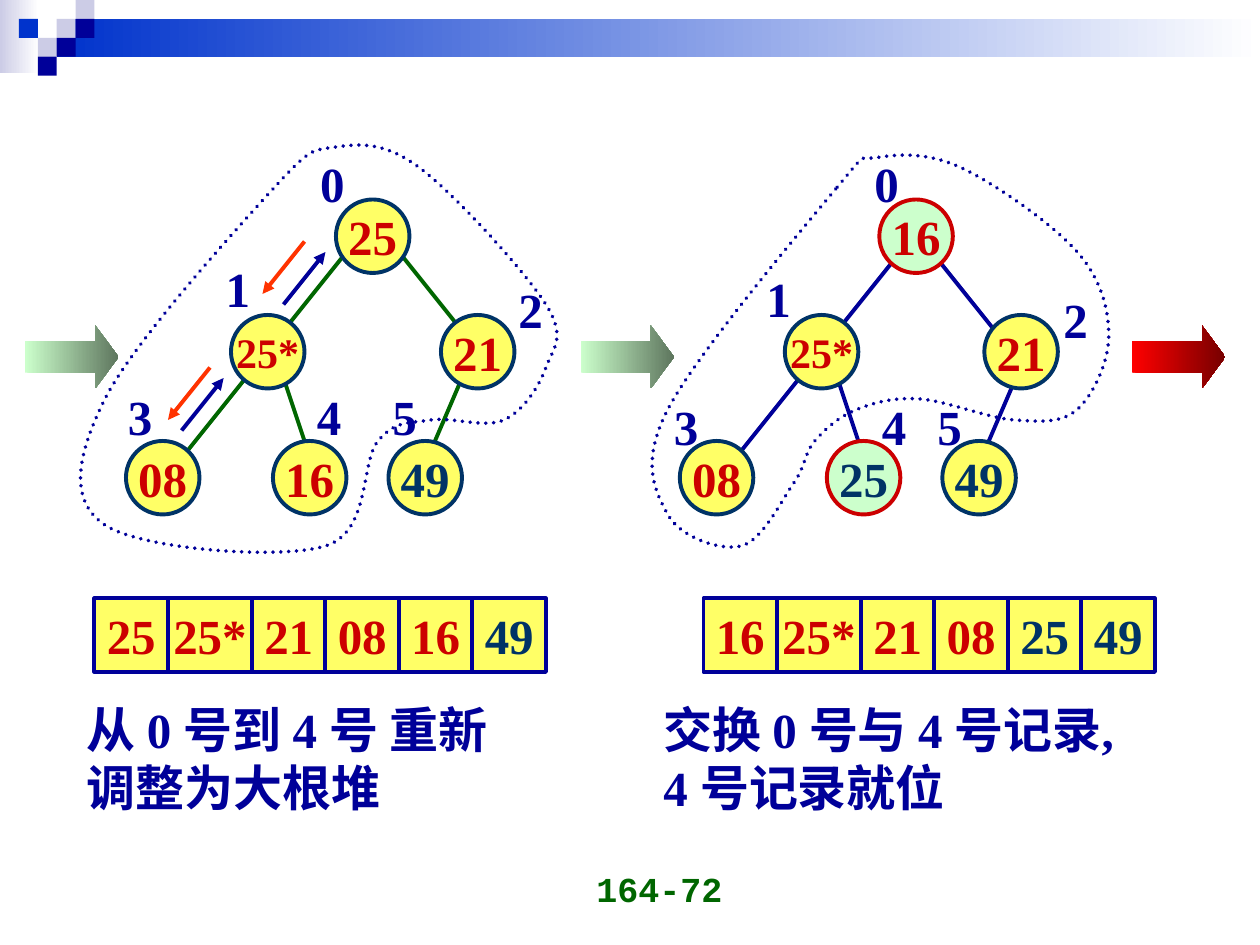
"""Build a slide showing one exchange step of heap sort with trees and arrays."""
from itertools import accumulate
from lxml.etree import SubElement
from pptx import Presentation
from pptx.dml.color import RGBColor
from pptx.enum.dml import MSO_LINE
from pptx.enum.shapes import MSO_CONNECTOR, MSO_SHAPE
from pptx.enum.text import MSO_ANCHOR, MSO_AUTO_SIZE, PP_ALIGN
from pptx.oxml.ns import qn
from pptx.util import Inches, Pt

THEME = {
    "navy": "000099", "blue": "0033CC", "pale": "CCCCE6", "white": "FFFFFF",
    "yellow": "FFFF66", "mint": "CCFFCC", "moss": "5E765E", "green": "006600",
    "red": "CC0000", "slate": "003366", "orange": "FF3300",
    "bright": "FF0000", "maroon": "760000",
    "serif": "Times New Roman", "sans": "Arial", "mono": "Courier New",
    "body": 28, "small": 24, "footer": 20, "line": 2.25,
}
COLUMNS, ROWS = 120, 90
SLIDE_WIDTH, SLIDE_HEIGHT = Inches(10), Inches(7.5)
SQUARE = 1.8
MOSAIC = ["....p", ".b.pn", "..pn", "..n"]
MOSAIC_COLORS = {"p": "pale", "b": "blue", "n": "navy"}
BANDS = [((0, 0, 3.7, 7), "pale"), ((5.4, SQUARE, 114.6, 2 * SQUARE), "blue")]
BLOCK_ARROWS = [(55.3, "mint", "moss"), (2.4, "mint", "moss"), (107.8, "bright", "maroon")]
FOOTER = "164-72"

NODE_SIZE = 7
LEVEL_TOPS = [19, 30, 42]
NODE_LEFTS = [32, 22, 42, 12, 26, 37]
EDGES = [(44, 36, 41, 43), (27, 36, 29, 42), (33, 24, 17, 44), (38, 24, 46, 34)]
LABEL_TOPS = [14, 24, 26, 36.2, 36.2, 36.2]
ARRAY_LEFT, ARRAY_TOP, ARRAY_WIDTHS = 9, 57, [7, 8, 7, 7, 7, 7]
MOVES = [(17.3, 41, 1, "navy"), (27, 29, 1, "navy"),
         (29, 23, -1, "orange"), (20, 35, -1, "orange")]

TREES = [
    {
        "values": ["25", "25*", "21", "08", "16", "49"],
        "heap_size": 5, "swapped": (), "edge_color": "green", "moves": MOVES,
        "shift": 0, "pull": 0, "label_drop": 0, "array_shift": 0,
        "label_lefts": [29.3, 20.3, 48.2, 11, 29, 36.2],
        "caption_left": 7.1, "caption_width": 48.8,
        "caption": [[("从 0 号到 4 号 重新", "serif")], [("调整为", "serif"), ("大根堆", "sans")]],
        "outline": [(26, 18), (10, 38), (10, 50), (31, 52), (36, 42), (41, 40),
                    (48, 40), (52, 35), (52, 29), (40, 16), (32, 14)],
    },
    {
        "values": ["16", "25*", "21", "08", "25", "49"],
        "heap_size": 4, "swapped": (0, 4), "edge_color": "navy", "moves": [],
        "shift": 52.75, "pull": 1, "label_drop": 1, "array_shift": 58,
        "label_lefts": [82.1, 71.8, 100.1, 63, 82.8, 88.1],
        "caption_left": 62, "caption_width": 53.4,
        "caption": [[("交换 0 号与 4 号记录,", "serif")], [("4 号记录就位", "serif")]],
        "outline": [(79.6, 18), (63.6, 39), (63.6, 49), (70.6, 52), (75.6, 46),
                    (77.6, 42), (81.6, 39), (87.6, 38), (96.6, 40), (102.6, 39),
                    (105.6, 32), (102.6, 24), (91.6, 16), (83.6, 15)],
    },
]


def color(name):
    """Return a theme colour."""
    return RGBColor.from_string(THEME[name])


def place(*numbers):
    """Turn alternating columns and rows into slide lengths."""
    units = (SLIDE_WIDTH / COLUMNS, SLIDE_HEIGHT / ROWS)
    return [round(number * units[index % 2]) for index, number in enumerate(numbers)]


def write(shape, lines, size="body", ink="navy", align=PP_ALIGN.LEFT,
          anchor=MSO_ANCHOR.TOP, wrap=False, grow=False):
    """Write lines of (text, font) runs into a shape."""
    frame = shape.text_frame
    frame.word_wrap = wrap
    frame.auto_size = MSO_AUTO_SIZE.SHAPE_TO_FIT_TEXT if grow else MSO_AUTO_SIZE.NONE
    frame.vertical_anchor = anchor
    for index, runs in enumerate(lines):
        paragraph = frame.add_paragraph() if index else frame.paragraphs[0]
        paragraph.alignment = align
        for text, font in runs:
            run = paragraph.add_run()
            run.text = text
            run.font.name = THEME[font]
            run.font.size = Pt(THEME[size])
            run.font.bold = True
            run.font.color.rgb = color(ink)


def add_block(slide, kind, area, fill, fade=None, edge=None):
    """Add a preset shape with a plain or fading fill."""
    shape = slide.shapes.add_shape(kind, *place(*area))
    shape.shadow.inherit = False
    if fade:
        shape.fill.gradient()
        shape.fill.gradient_angle = 0
        for stop, name in zip(shape.fill.gradient_stops, (fill, fade)):
            stop.color.rgb = color(name)
    else:
        shape.fill.solid()
        shape.fill.fore_color.rgb = color(fill)
    if edge:
        shape.line.color.rgb = color(edge)
        shape.line.width = Pt(THEME["line"])
    else:
        shape.line.fill.background()
    return shape


def add_line(slide, ends, ink, arrow=False):
    """Add a straight line, with an arrowhead at its end if wanted."""
    line = slide.shapes.add_connector(MSO_CONNECTOR.STRAIGHT, *place(*ends))
    line.line.color.rgb = color(ink)
    line.line.width = Pt(THEME["line"])
    if arrow:
        SubElement(line.line._get_or_add_ln(), qn("a:tailEnd"), type="triangle")
    SubElement(line._element.spPr, qn("a:effectLst"))


def smooth_controls(anchors):
    """Return the Bezier points of a closed smooth curve through the anchors."""
    count = len(anchors)
    points = []
    for index in range(count):
        before, start, end, after = (anchors[(index + step) % count] for step in (-1, 0, 1, 2))
        points.append([s + (e - b) / 6 for b, s, e in zip(before, start, end)])
        points.append([e - (a - s) / 6 for s, e, a in zip(start, end, after)])
        points.append(end)
    return points


def add_outline(slide, anchors):
    """Add a dotted closed curve through the anchors."""
    builder = slide.shapes.build_freeform(*place(*anchors[0]))
    builder.add_line_segments([place(*point) for point in smooth_controls(anchors)], close=True)
    shape = builder.convert_to_shape()
    shape.shadow.inherit = False
    shape.fill.background()
    shape.line.color.rgb = color("navy")
    shape.line.width = Pt(THEME["line"])
    shape.line.dash_style = MSO_LINE.ROUND_DOT
    shape.line._get_or_add_ln().set("cap", "rnd")
    segments = list(shape._element.iter(qn("a:lnTo")))
    for index in range(0, len(segments), 3):
        curve = segments[index].makeelement(qn("a:cubicBezTo"))
        segments[index].addprevious(curve)
        for segment in segments[index:index + 3]:
            curve.append(segment[0])
            segment.getparent().remove(segment)


def add_tree(slide, tree):
    """Add one heap with its labels, array and caption."""
    shift, pull = tree["shift"], tree["pull"]
    for edge in EDGES:
        offset = shift - 2 * pull if edge == EDGES[-1] else shift
        start_x, start_y, end_x, end_y = edge
        add_line(slide, (start_x + offset, start_y, end_x + offset, end_y), tree["edge_color"])
    array_lefts = accumulate(ARRAY_WIDTHS, initial=ARRAY_LEFT + tree["array_shift"])
    columns = zip(tree["values"], NODE_LEFTS, tree["label_lefts"], LABEL_TOPS,
                  array_lefts, ARRAY_WIDTHS)
    for index, (value, left, label_left, label_top, cell_left, cell_width) in enumerate(columns):
        fill, edge = ("mint", "red") if index in tree["swapped"] else ("yellow", "slate")
        style = {"ink": "red" if index < tree["heap_size"] else "slate",
                 "align": PP_ALIGN.CENTER, "anchor": MSO_ANCHOR.MIDDLE}
        left += shift - (pull if index in (0, 2) else 0)
        top = LEVEL_TOPS[(index + 1).bit_length() - 1]
        node = add_block(slide, MSO_SHAPE.OVAL, (left, top, NODE_SIZE, NODE_SIZE), fill, edge=edge)
        write(node, [[(value, "serif")]], size="small" if len(value) > 2 else "body", **style)
        cell = add_block(slide, MSO_SHAPE.RECTANGLE, (cell_left, ARRAY_TOP, cell_width, NODE_SIZE),
                         "yellow", edge="navy")
        write(cell, [[(value, "serif")]], **style)
        label_top += tree["label_drop"] if index else 0
        label = slide.shapes.add_textbox(*place(label_left, label_top, 4.7, 6.8))
        write(label, [[(str(index), "serif")]], grow=True)
    caption = slide.shapes.add_textbox(
        *place(tree["caption_left"], 66, tree["caption_width"], 12.5))
    write(caption, tree["caption"], grow=True)
    add_outline(slide, tree["outline"])
    for x, y, direction, ink in tree["moves"]:
        add_line(slide, (x, y, x + 4 * direction, y - 5 * direction), ink, arrow=True)


def main():
    """Build and save the presentation."""
    presentation = Presentation()
    presentation.slide_width, presentation.slide_height = SLIDE_WIDTH, SLIDE_HEIGHT
    slide = presentation.slides.add_slide(presentation.slide_layouts[6])
    for area, fill in BANDS:
        add_block(slide, MSO_SHAPE.RECTANGLE, area, fill, fade="white")
    for row, squares in enumerate(MOSAIC):
        for column, mark in enumerate(squares):
            if mark in MOSAIC_COLORS:
                area = (column * SQUARE, row * SQUARE, SQUARE, SQUARE)
                add_block(slide, MSO_SHAPE.RECTANGLE, area, MOSAIC_COLORS[mark])
    footer = slide.shapes.add_textbox(*place(42, 81.2, 28, 6))
    write(footer, [[(FOOTER, "mono")]], size="footer", ink="green",
          align=PP_ALIGN.RIGHT, anchor=MSO_ANCHOR.BOTTOM, wrap=True)
    for left, fill, fade in BLOCK_ARROWS:
        arrow = add_block(slide, MSO_SHAPE.RIGHT_ARROW, (left, 31, 8.9, 6), fill, fade=fade)
        arrow.adjustments[1] = 0.37
    for tree in TREES:
        add_tree(slide, tree)
    presentation.save("out.pptx")


if __name__ == "__main__":
    main()
